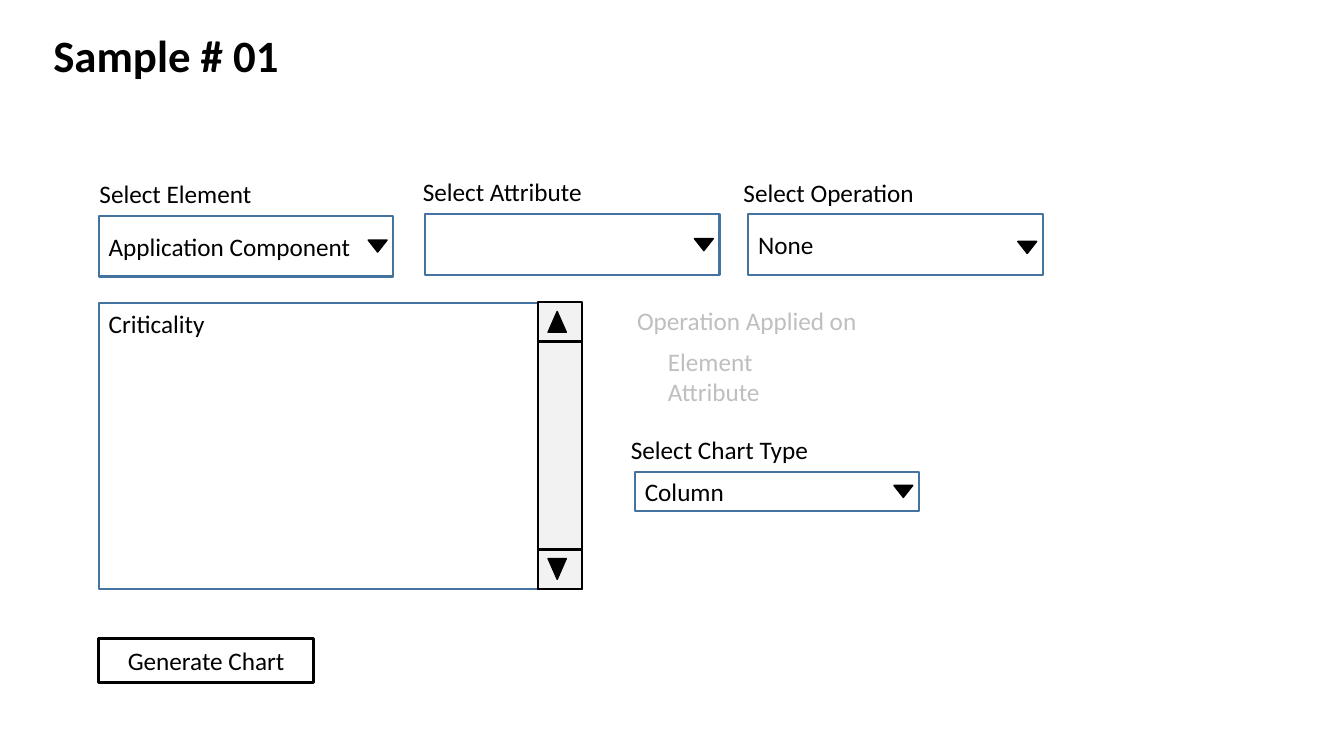
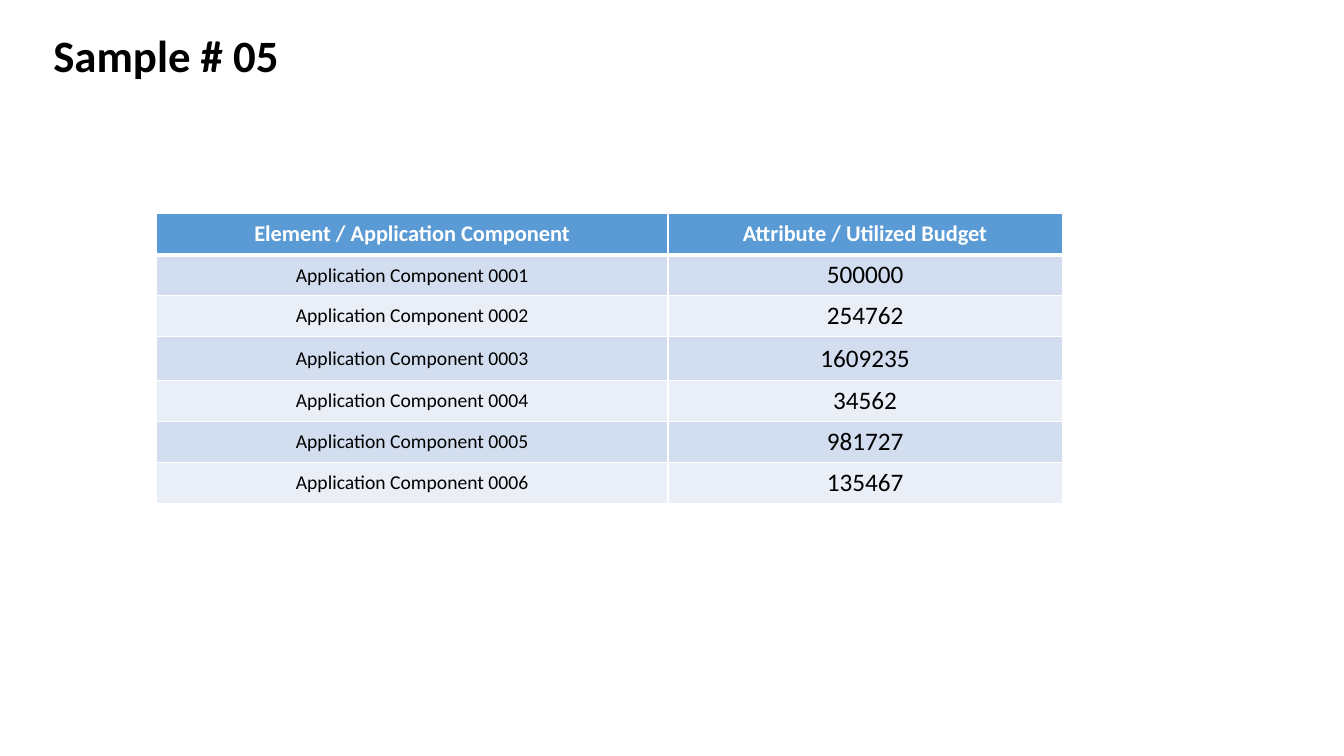
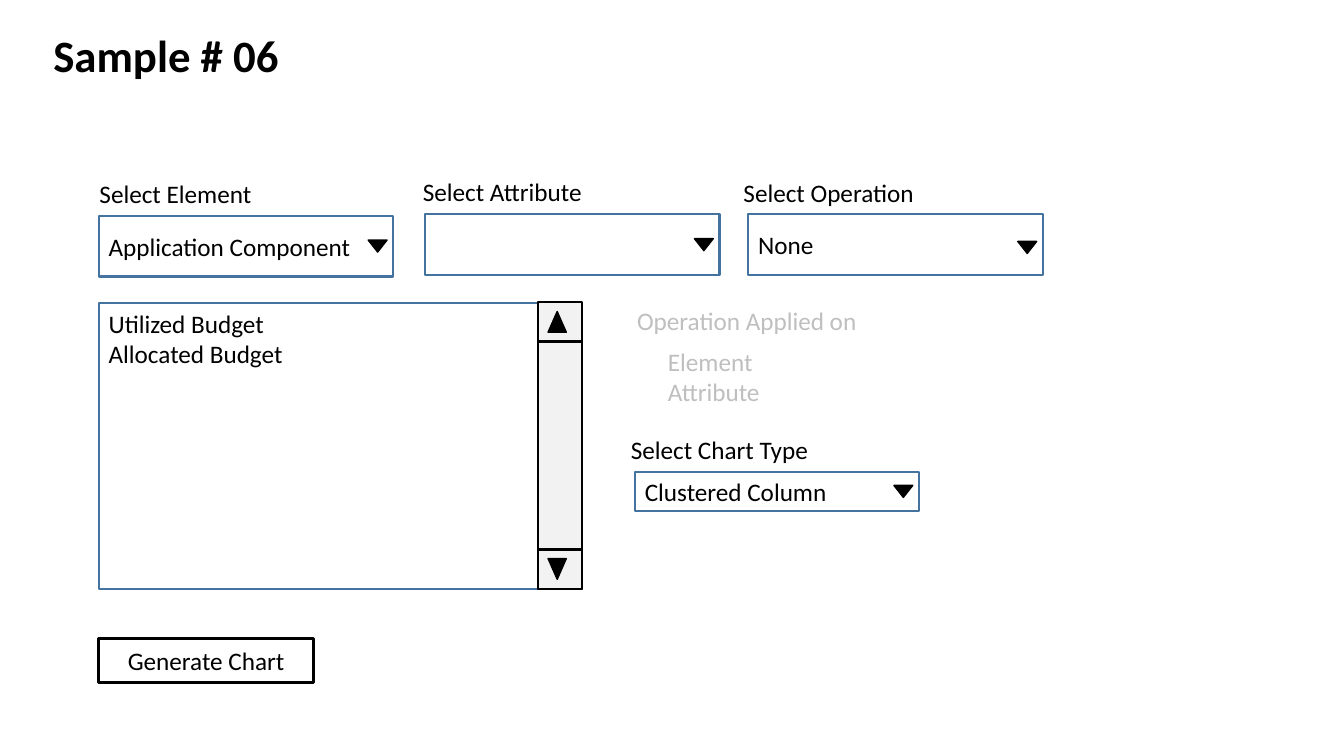
from dataclasses import dataclass

from lxml import etree
from pptx import Presentation
from pptx.dml.color import RGBColor
from pptx.enum import shapes, text
from pptx.oxml import ns
from pptx.util import Pt


@dataclass(frozen=True)
class Theme:
    font: str = "Calibri"
    black: str = "000000"
    white: str = "FFFFFF"
    muted: str = "BFBFBF"
    field: str = "43739E"
    scroll: str = "F2F2F2"
    header: str = "5B9BD5"
    bands: tuple[str, str] = ("D2DEEF", "EAEFF7")
    title_size: float = 32
    body_size: float = 18
    header_size: float = 16
    name_size: float = 14


@dataclass(frozen=True)
class Area:
    left: float
    top: float
    width: float
    height: float


@dataclass(frozen=True)
class Dropdown:
    label: str
    value: str
    area: Area
    label_left: float
    label_top: float
    arrow_drop: float = 0


@dataclass(frozen=True)
class Form:
    title: str
    attributes: str
    chart_type: str


@dataclass(frozen=True)
class Budget:
    title: str
    rows: tuple[tuple[str, str], ...]


THEME = Theme()
ALIGN = text.PP_ALIGN
ANCHOR = text.MSO_ANCHOR
KIND = shapes.MSO_SHAPE


# Basic drawing
def emu(area: Area) -> tuple[Pt, Pt, Pt, Pt]:
    return Pt(area.left), Pt(area.top), Pt(area.width), Pt(area.height)


def write(frame, words: str, size: float = THEME.body_size, color: str = THEME.black,
          bold: bool = False, align=ALIGN.LEFT) -> None:
    frame.text = words
    for para in frame.paragraphs:
        para.alignment = align
        for span in para.runs:
            span.font.name = THEME.font
            span.font.size = Pt(size)
            span.font.bold = bold
            span.font.color.rgb = RGBColor.from_string(color)


def add_label(parts, area: Area, words: str, size: float = THEME.body_size,
              color: str = THEME.black, bold: bool = False) -> None:
    box = parts.add_textbox(*emu(area))
    box.text_frame.word_wrap = True
    box.text_frame.auto_size = text.MSO_AUTO_SIZE.SHAPE_TO_FIT_TEXT
    write(box.text_frame, words, size, color, bold)


def add_box(parts, area: Area, line: str, weight: float = 1.5, fill: str = "",
            kind=KIND.RECTANGLE, words: str = "", align=ALIGN.LEFT,
            anchor=ANCHOR.MIDDLE):
    box = parts.add_shape(kind, *emu(area))
    box.shadow.inherit = False
    box.line.color.rgb = RGBColor.from_string(line)
    box.line.width = Pt(weight)
    if fill:
        box.fill.solid()
        box.fill.fore_color.rgb = RGBColor.from_string(fill)
    else:
        box.fill.background()
    if words:
        box.text_frame.word_wrap = True
        box.text_frame.vertical_anchor = anchor
        write(box.text_frame, words, align=align)
    return box


def add_arrow(parts, area: Area, down: bool = True) -> None:
    arrow = add_box(parts, area, THEME.black, 1, THEME.black, KIND.ISOSCELES_TRIANGLE)
    arrow.rotation = 180 if down else 0


def add_page(deck, title: str):
    page = deck.slides.add_slide(deck.slide_layouts[6])
    add_label(page.shapes, Area(31, 16.5, 441.5, 46), title, THEME.title_size, bold=True)
    return page


# Form controls
def add_dropdown(page, menu: Dropdown) -> None:
    parts = page.shapes.add_group_shape().shapes
    area = menu.area
    add_box(parts, area, THEME.field, words=menu.value)
    add_label(parts, Area(menu.label_left, menu.label_top, area.width - 7.2, 29.5), menu.label)
    middle = area.top + (area.height - 8.6) / 2
    add_arrow(parts, Area(area.left + area.width - 18, middle + menu.arrow_drop, 13.5, 8.6))


def add_list(page, words: str) -> None:
    parts = page.shapes.add_group_shape().shapes
    area = Area(70.5, 216.5, 345, 204)
    bar_width, button = 31, 28
    bar_left = area.left + area.width - bar_width
    bottom = area.top + area.height
    add_box(parts, area, THEME.field, words=words, anchor=ANCHOR.TOP)
    add_box(parts, Area(bar_left, area.top, bar_width, area.height), THEME.black, fill=THEME.scroll)
    for top, down in ((area.top - 0.5, False), (bottom - button, True)):
        add_box(parts, Area(bar_left, top, bar_width, button), THEME.black, fill=THEME.scroll)
        add_arrow(parts, Area(bar_left + 7, top + 6.5, 13, 14.8), down)


def add_form(deck, form: Form) -> None:
    page = add_page(deck, form.title)
    menus = (
        Dropdown("Select Element", "Application Component", Area(70.5, 154, 210.5, 43.5), 64, 124),
        Dropdown("Select Attribute", "", Area(303.5, 153, 210.5, 43.5), 295, 122.5),
        Dropdown("Select Operation", "None", Area(534.5, 153, 210.5, 43.5), 524, 123, 2),
        Dropdown("Select Chart Type", form.chart_type, Area(453.5, 337, 203, 28), 443.5, 306.5),
    )
    for menu in menus:
        add_dropdown(page, menu)
    add_list(page, form.attributes)
    add_box(page.shapes, Area(70.5, 456, 153.5, 31.5), THEME.black, 2.5,
            words="Generate Chart", align=ALIGN.CENTER)
    target = page.shapes.add_group_shape().shapes
    add_label(target, Area(448, 214.5, 180, 29), "Operation Applied on", color=THEME.muted)
    add_label(target, Area(470, 243.5, 106.5, 51), "Element\nAttribute", color=THEME.muted)


# Budget table
def add_border(cell, side: str, weight: float, position: int) -> None:
    line = etree.Element(ns.qn(f"a:ln{side}"), w=str(Pt(weight)))
    fill = etree.SubElement(line, ns.qn("a:solidFill"))
    etree.SubElement(fill, ns.qn("a:srgbClr"), val=THEME.white)
    cell._tc.get_or_add_tcPr().insert(position, line)


def add_budget(deck, budget: Budget) -> None:
    page = add_page(deck, budget.title)
    heights = [29.3] * len(budget.rows)
    heights[3] = 31
    widths = (365.5, 281.5)
    area = Area(111.7, 152.7, sum(widths), sum(heights))
    table = page.shapes.add_table(len(heights), len(widths), *emu(area)).table
    for column, width in zip(table.columns, widths):
        column.width = Pt(width)
    for number, (height, words) in enumerate(zip(heights, budget.rows)):
        table.rows[number].height = Pt(height)
        is_header = number == 0
        fill = THEME.header if is_header else THEME.bands[(number - 1) % 2]
        color = THEME.white if is_header else THEME.black
        sizes = (THEME.header_size,) * 2 if is_header else (THEME.name_size, THEME.body_size)
        borders = [("L", 1), ("R", 1), ("B", 3 if is_header else 1)]
        if is_header:
            borders.insert(2, ("T", 1))
        for cell, value, size in zip(table.rows[number].cells, words, sizes):
            cell.vertical_anchor = ANCHOR.MIDDLE
            cell.fill.solid()
            cell.fill.fore_color.rgb = RGBColor.from_string(fill)
            write(cell.text_frame, value, size, color, is_header, ALIGN.CENTER)
            for position, (side, weight) in enumerate(borders):
                add_border(cell, side, weight, position)


# Content
AMOUNTS = ("500000", "254762", "1609235", "34562", "981727", "135467")
BUDGET_ROWS = (
    ("Element / Application Component", "Attribute / Utilized Budget"),
    *((f"Application Component {number:04}", amount)
      for number, amount in enumerate(AMOUNTS, 1)),
)


def main() -> None:
    deck = Presentation()
    deck.slide_width, deck.slide_height = Pt(960), Pt(540)
    add_form(deck, Form("Sample # 01", "Criticality", "Column"))
    add_budget(deck, Budget("Sample # 05", BUDGET_ROWS))
    add_form(deck, Form("Sample # 06", "Utilized Budget\nAllocated Budget", "Clustered Column"))
    deck.save("out.pptx")


main()
